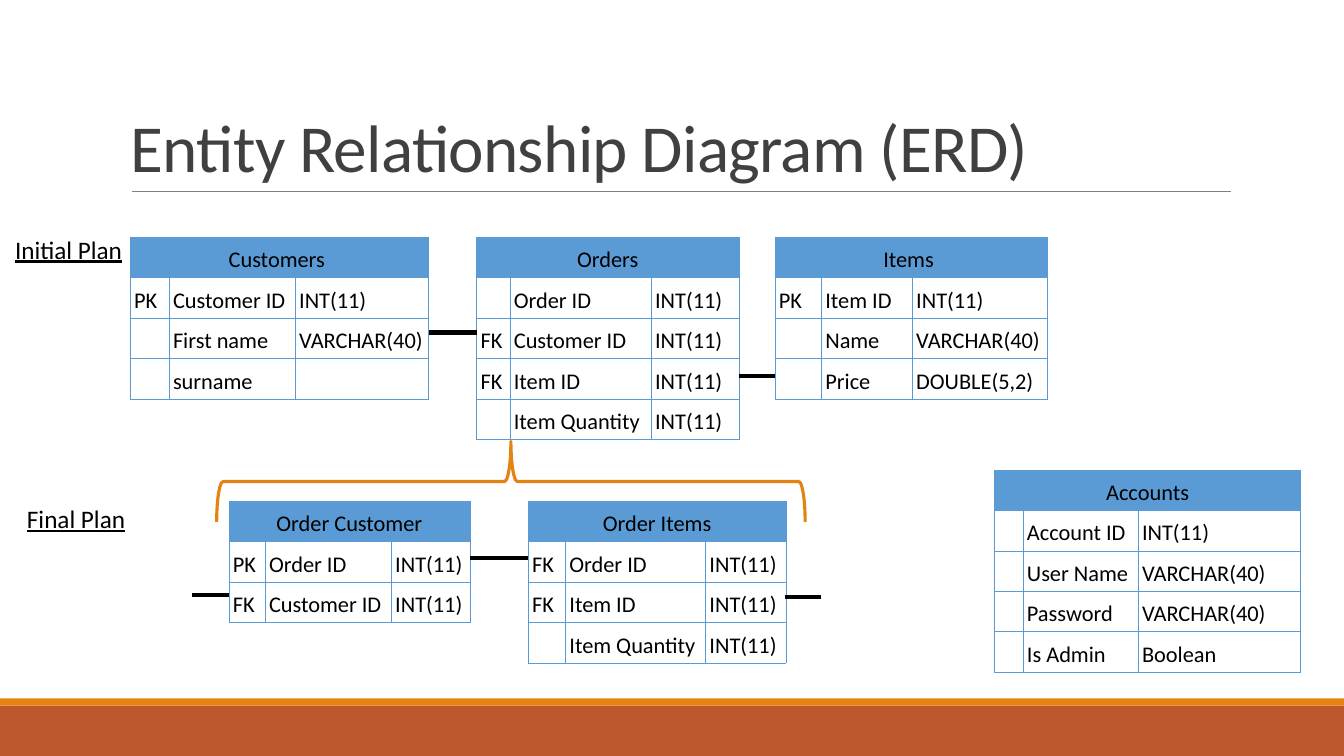
from dataclasses import dataclass

from lxml import etree
from pptx import Presentation
from pptx.dml.color import RGBColor
from pptx.enum import shapes, text
from pptx.oxml.ns import qn
from pptx.util import Cm, Pt

COLORS = {
    "black": "000000",
    "title": "404040",
    "rule": "808080",
    "blue": "5B9BD5",
    "orange": "E48312",
    "rust": "BD582C",
}
FONT = "Calibri"
SLIDE_WIDTH, SLIDE_HEIGHT = 33.87, 19.05
ROW_HEIGHT = 1.02
CELL_MARGIN = 0.1


@dataclass
class Entity:
    name: str
    left: float
    top: float
    columns: tuple[float, float, float]
    fields: list[tuple[str, str, str]]


@dataclass
class Line:
    """A horizontal line."""
    start: float
    end: float
    y: float
    color: str = "black"
    width: float = 3


@dataclass
class Band:
    top: float
    height: float
    color: str


@dataclass
class Label:
    content: str
    left: float
    top: float
    width: float


INITIAL_TOP, FINAL_TOP = 5.98, 12.63

ENTITIES = [
    Entity("Customers ", 3.28, INITIAL_TOP, (0.98, 3.18, 3.36), [
        ("PK", "Customer ID", "INT(11)"),
        ("", "First name", "VARCHAR(40)"),
        ("", "surname", ""),
    ]),
    Entity("Orders", 12.01, INITIAL_TOP, (0.84, 3.56, 2.21), [
        ("", "Order ID", "INT(11)"),
        ("FK", "Customer ID", "INT(11)"),
        ("FK", "Item ID", "INT(11)"),
        ("", "Item Quantity", "INT(11)"),
    ]),
    Entity("Items ", 19.53, INITIAL_TOP, (1.17, 2.29, 3.4), [
        ("PK", "Item ID", "INT(11)"),
        ("", "Name", "VARCHAR(40)"),
        ("", "Price", "DOUBLE(5,2)"),
    ]),
    Entity("Order Customer", 5.77, FINAL_TOP, (0.91, 3.18, 1.98), [
        ("PK", "Order ID", "INT(11)"),
        ("FK", "Customer ID", "INT(11)"),
    ]),
    Entity("Order Items", 13.31, FINAL_TOP, (0.94, 3.53, 2.03), [
        ("FK", "Order ID", "INT(11)"),
        ("FK", "Item ID", "INT(11)"),
        ("", "Item Quantity", "INT(11)"),
    ]),
    Entity("Accounts", 25.07, 11.84, (0.71, 2.9, 4.09), [
        ("", "Account ID", "INT(11)"),
        ("", "User Name", "VARCHAR(40)"),
        ("", "Password", "VARCHAR(40)"),
        ("", "Is Admin", "Boolean"),
    ]),
]
LINES = [
    Line(3.33, 31.01, 4.82, "rule", 0.5),
    Line(12.01, 10.8, 8.38),
    Line(19.53, 18.62, 9.47),
    Line(13.31, 11.84, 14.07),
    Line(20.7, 19.79, 15.04),
    Line(5.77, 4.85, 14.99),
]
BANDS = [Band(17.78, 1.27, "rust"), Band(17.6, 0.18, "orange")]
LABELS = [
    Label("Initial Plan", 0.13, 5.77, 3.25),
    Label("Final Plan", 0.43, 12.55, 3.02),
]


def rgb(color: str) -> RGBColor:
    return RGBColor.from_string(COLORS[color])


def write(frame, content: str, *, size: float, color: str = "black",
          underline: bool = False, align=text.PP_ALIGN.LEFT,
          line_spacing: float = 1, space_after: float = 0,
          tracking: int = 0) -> None:
    """Fill the first paragraph; tracking is in hundredths of a point."""
    paragraph = frame.paragraphs[0]
    paragraph.alignment = align
    paragraph.line_spacing = line_spacing
    paragraph.space_after = Pt(space_after)
    run = paragraph.add_run()
    run.text = content
    run.font.name = FONT
    run.font.size = Pt(size)
    run.font.underline = underline
    run.font.color.rgb = rgb(color)
    if tracking:
        run.font._element.set("spc", str(tracking))


def add_borders(cell) -> None:
    properties = cell._tc.get_or_add_tcPr()
    for position, side in enumerate(("a:lnL", "a:lnR", "a:lnT", "a:lnB")):
        border = etree.Element(qn(side), w=str(Pt(0.5)))
        fill = etree.SubElement(border, qn("a:solidFill"))
        etree.SubElement(fill, qn("a:srgbClr"), val=COLORS["blue"])
        properties.insert(position, border)


def add_entity(slide, entity: Entity) -> None:
    rows = [(entity.name, "", "")] + entity.fields
    table = slide.shapes.add_table(
        len(rows), len(entity.columns), Cm(entity.left), Cm(entity.top),
        Cm(sum(entity.columns)), Cm(ROW_HEIGHT * len(rows))).table
    table.first_row = table.horz_banding = False
    for column, width in zip(table.columns, entity.columns):
        column.width = Cm(width)
    table.cell(0, 0).merge(table.cell(0, len(entity.columns) - 1))
    for row_index, values in enumerate(rows):
        is_header = row_index == 0
        table.rows[row_index].height = Cm(ROW_HEIGHT)
        for column_index, value in enumerate(values):
            cell = table.cell(row_index, column_index)
            cell.margin_left = cell.margin_right = Cm(CELL_MARGIN)
            cell.margin_top = cell.margin_bottom = Cm(CELL_MARGIN)
            if is_header:
                cell.fill.solid()
                cell.fill.fore_color.rgb = rgb("blue")
            else:
                cell.fill.background()
            add_borders(cell)
            if value:
                align = text.PP_ALIGN.CENTER if is_header else text.PP_ALIGN.LEFT
                write(cell.text_frame, value, size=16, align=align,
                      line_spacing=1.19, space_after=6)


def add_line(slide, line: Line) -> None:
    connector = slide.shapes.add_connector(
        shapes.MSO_CONNECTOR.STRAIGHT,
        Cm(line.start), Cm(line.y), Cm(line.end), Cm(line.y))
    connector.line.color.rgb = rgb(line.color)
    connector.line.width = Pt(line.width)
    etree.SubElement(connector._element.spPr, qn("a:effectLst"))


def add_band(slide, band: Band) -> None:
    shape = slide.shapes.add_shape(
        shapes.MSO_SHAPE.RECTANGLE,
        0, Cm(band.top), Cm(SLIDE_WIDTH), Cm(band.height))
    shape.shadow.inherit = False
    shape.fill.solid()
    shape.fill.fore_color.rgb = rgb(band.color)
    shape.line.fill.background()


def add_brace(slide) -> None:
    brace = slide.shapes.add_shape(
        shapes.MSO_SHAPE.LEFT_BRACE, Cm(11.86), Cm(4.72), Cm(2.03), Cm(14.83))
    brace.rotation = 90
    brace.adjustments[0], brace.adjustments[1] = 0.08, 0.5
    brace.shadow.inherit = False
    brace.fill.background()
    brace.line.color.rgb = rgb("orange")
    brace.line.width = Pt(2.25)


def add_title(slide) -> None:
    box = slide.shapes.add_textbox(Cm(3.05), Cm(0.79), Cm(27.94), Cm(4.04))
    box.text_frame.word_wrap = True
    box.text_frame.vertical_anchor = text.MSO_ANCHOR.BOTTOM
    write(box.text_frame, "Entity Relationship Diagram (ERD)", size=48,
          color="title", line_spacing=0.85, tracking=-50)


def add_label(slide, label: Label) -> None:
    box = slide.shapes.add_textbox(
        Cm(label.left), Cm(label.top), Cm(label.width), Cm(1.02))
    box.text_frame.word_wrap = False
    write(box.text_frame, label.content, size=18, underline=True)


def main() -> None:
    presentation = Presentation()
    presentation.slide_width = Cm(SLIDE_WIDTH)
    presentation.slide_height = Cm(SLIDE_HEIGHT)
    slide = presentation.slides.add_slide(presentation.slide_layouts[6])
    add_title(slide)
    for draw, items in ((add_band, BANDS), (add_entity, ENTITIES),
                        (add_line, LINES), (add_label, LABELS)):
        for item in items:
            draw(slide, item)
    add_brace(slide)
    presentation.save("out.pptx")


if __name__ == "__main__":
    main()
